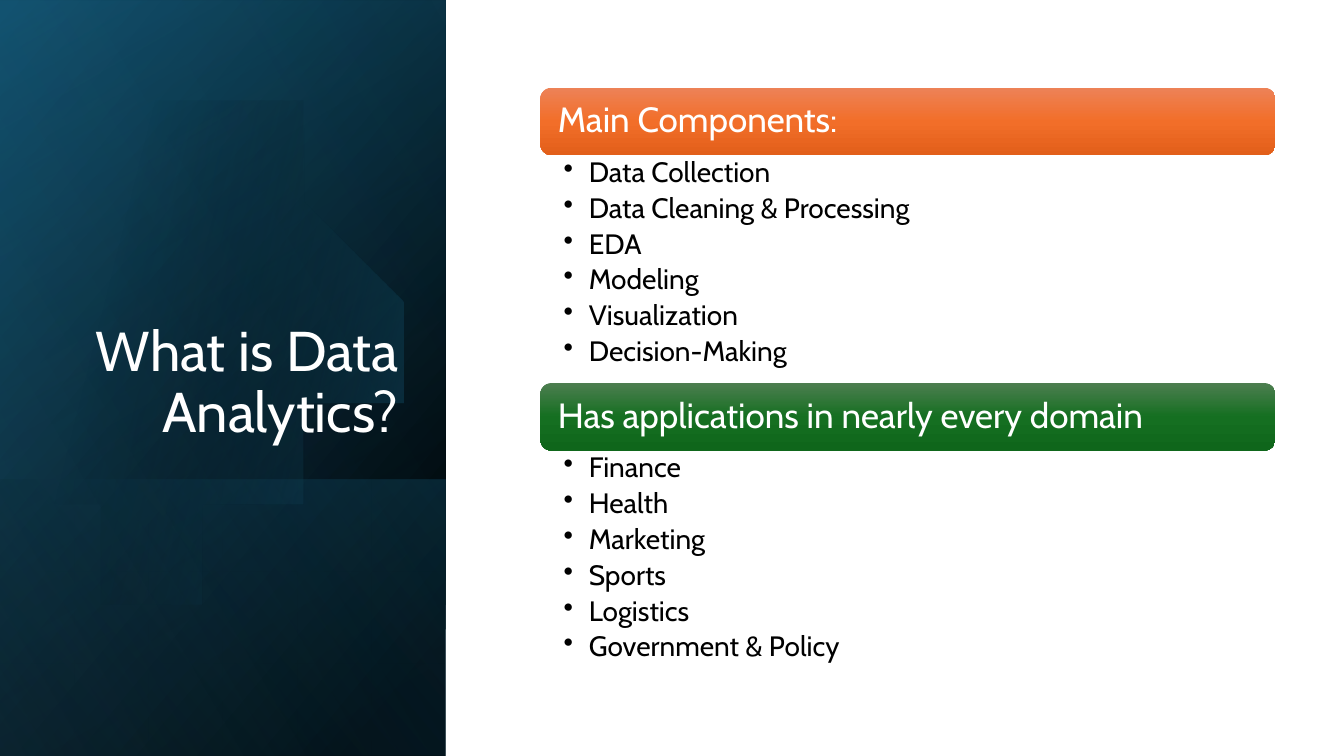
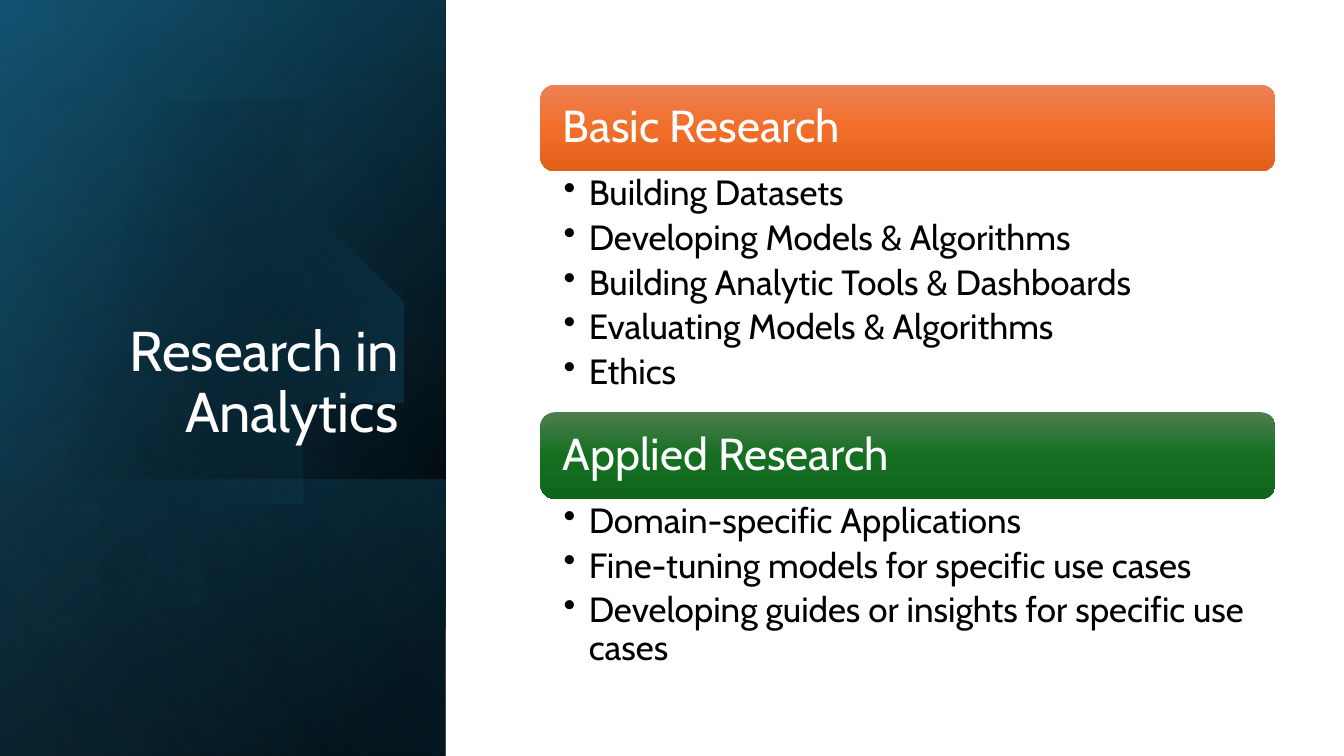
from lxml.etree import SubElement
from pptx import Presentation
from pptx.dml.color import RGBColor
from pptx.enum.shapes import MSO_SHAPE as Preset
from pptx.enum.text import MSO_ANCHOR as Anchor, MSO_AUTO_SIZE as AutoSize, PP_ALIGN as Align
from pptx.oxml.ns import qn
from pptx.util import Inches, Pt

FONT = "Cabin"
BLACK = RGBColor(0x00, 0x00, 0x00)
WHITE = RGBColor(0xFF, 0xFF, 0xFF)
NAVY = RGBColor(0x10, 0x48, 0x62)
TEAL = RGBColor(0x15, 0x60, 0x82)
SKY = RGBColor(0x46, 0xB1, 0xE1)
ORANGES = RGBColor(0xED, 0x82, 0x57), RGBColor(0xF2, 0x6E, 0x29), RGBColor(0xE2, 0x5F, 0x1A)
GREENS = RGBColor(0x4D, 0x7E, 0x50), RGBColor(0x15, 0x6F, 0x21), RGBColor(0x0F, 0x66, 0x1B)

# Panel layers: left, top, width, height, gradient angle, stops (position, colour, opacity)
BASE_LAYERS = [
    (-1.54, 1.54, 7.5, 4.42, 50, [(8, BLACK, 100), (100, NAVY, 100)]),
    (-1.54, 1.55, 7.5, 4.42, 30, [(0, BLACK, 0), (99, TEAL, 46)]),
    (0.84, 3.92, 2.74, 4.42, 130, [(2, TEAL, 29), (100, BLACK, 30)]),
]
TOP_LAYERS = [(-1.54, 1.54, 7.5, 4.42, 120, [(0, BLACK, 0), (99, SKY, 11)])]

# Outline of the disc: one point is a straight line, three points are a Bezier curve
DISC_START = (1.49, 1.1)
DISC_SEGMENTS = [
    [(2.46, 1.12), (3.35, 1.77), (3.63, 2.75)],
    [(3.98, 3.97), (3.28, 5.23), (2.07, 5.58)],
    [(1.31, 5.8), (0.53, 5.61), (-0.03, 5.14)],
    [(-0.15, 5.03)],
    [(-0.15, 1.75)],
    [(0, 1.61)],
    [(0.23, 1.42), (0.5, 1.28), (0.8, 1.19)],
    [(1.03, 1.13), (1.26, 1.1), (1.49, 1.1)],
]
CURVE_STEPS = 16

LIST_LEFT, LIST_WIDTH = 5.36, 7.29

SLIDES = [
    {
        "title": "What is Data Analytics?",
        "top": 0.87, "header_height": 0.67, "header_size": 25, "header_inset": 0.14,
        "item_size": 20, "item_inset": 0.03, "right_inset": 0.19,
        "sections": [
            ("Main Components:", ORANGES, 2.26,
             ["Data Collection", "Data Cleaning & Processing", "EDA", "Modeling",
              "Visualization", "Decision-Making"]),
            ("Has applications in nearly every domain", GREENS, 2.26,
             ["Finance", "Health", "Marketing", "Sports", "Logistics", "Government & Policy"]),
        ],
    },
    {
        "title": "Research in Analytics",
        "top": 0.84, "header_height": 0.86, "header_size": 32, "header_inset": 0.18,
        "item_size": 25, "item_inset": 0.04, "right_inset": 0.25,
        "sections": [
            ("Basic Research", ORANGES, 2.39,
             ["Building Datasets", "Developing Models & Algorithms",
              "Building Analytic Tools & Dashboards", "Evaluating Models & Algorithms",
              "Ethics"]),
            ("Applied Research", GREENS, 1.81,
             ["Domain-specific Applications", "Fine-tuning models for specific use cases",
              "Developing guides or insights for specific use cases"]),
        ],
    },
]


def paint_gradient(shape, angle, stops):
    """Give a shape a linear gradient with opacities, and no line or shadow."""
    shape.shadow.inherit = False
    shape.line.fill.background()
    shape.fill.background()
    properties = shape._element.spPr
    gradient = properties.makeelement(qn("a:gradFill"), {"rotWithShape": "1"})
    properties.replace(properties.find(qn("a:noFill")), gradient)
    stop_list = SubElement(gradient, qn("a:gsLst"))
    for position, color, opacity in stops:
        stop = SubElement(stop_list, qn("a:gs"), pos=str(position * 1000))
        tint = SubElement(stop, qn("a:srgbClr"), val=str(color))
        if opacity < 100:
            SubElement(tint, qn("a:alpha"), val=str(opacity * 1000))
    SubElement(gradient, qn("a:lin"), ang=str(angle * 60000), scaled="0")


def add_layers(page, layers):
    """Stack mirrored rectangles, turned upright, on the left panel."""
    for left, top, width, height, angle, stops in layers:
        layer = page.shapes.add_shape(
            Preset.RECTANGLE, Inches(left), Inches(top), Inches(width), Inches(height))
        layer.rotation = 90
        layer._element.spPr.find(qn("a:xfrm")).set("flipH", "1")
        paint_gradient(layer, angle, stops)


disc_points = [DISC_START]
for segment in DISC_SEGMENTS:
    if len(segment) == 1:
        disc_points += segment
        continue
    controls = [disc_points[-1], *segment]
    for step in range(1, CURVE_STEPS + 1):
        t = step / CURVE_STEPS
        weights = ((1 - t) ** 3, 3 * t * (1 - t) ** 2, 3 * t ** 2 * (1 - t), t ** 3)
        disc_points.append(tuple(
            sum(weight * point[axis] for weight, point in zip(weights, controls))
            for axis in (0, 1)))

deck = Presentation()
deck.slide_width, deck.slide_height = Inches(13.33), Inches(7.5)

for content in SLIDES:
    page = deck.slides.add_slide(deck.slide_layouts[5])

    add_layers(page, BASE_LAYERS)
    outline = page.shapes.build_freeform(*DISC_START, scale=Inches(1))
    outline.add_line_segments(disc_points[1:], close=True)
    paint_gradient(outline.convert_to_shape(), 14, [(29, BLACK, 0), (100, TEAL, 43)])
    add_layers(page, TOP_LAYERS)

    title = page.shapes.title
    page.shapes._spTree.append(title._element)  # bring in front of the panel
    title.left, title.top = Inches(0.64), Inches(1.84)
    title.width, title.height = Inches(3.41), Inches(2.62)
    frame = title.text_frame
    frame.text = content["title"]
    frame.word_wrap = True
    frame.auto_size = AutoSize.NONE
    frame.vertical_anchor = Anchor.BOTTOM
    para = frame.paragraphs[0]
    para.alignment = Align.RIGHT
    para.line_spacing = 0.9
    para.font.name, para.font.size = FONT, Pt(40)
    para.font.color.rgb = WHITE

    top = content["top"]
    for heading, colors, list_height, items in content["sections"]:
        header = page.shapes.add_shape(
            Preset.ROUNDED_RECTANGLE, Inches(LIST_LEFT), Inches(top),
            Inches(LIST_WIDTH), Inches(content["header_height"]))
        paint_gradient(header, 90, [(pos, color, 100) for pos, color in zip((0, 50, 100), colors)])
        frame = header.text_frame
        frame.text = heading
        frame.word_wrap = True
        frame.vertical_anchor = Anchor.MIDDLE
        frame.margin_left = frame.margin_right = Inches(content["header_inset"])
        para = frame.paragraphs[0]
        para.alignment = Align.LEFT
        para.line_spacing = 0.9
        para.font.name, para.font.size = FONT, Pt(content["header_size"])
        para.font.color.rgb = WHITE
        top += content["header_height"]

        box = page.shapes.add_textbox(
            Inches(LIST_LEFT), Inches(top), Inches(LIST_WIDTH), Inches(list_height))
        frame = box.text_frame
        frame.word_wrap = True
        frame.margin_left, frame.margin_right = Inches(0.23), Inches(content["right_inset"])
        frame.margin_top = frame.margin_bottom = Inches(content["item_inset"])
        frame.text = "\n".join(items)
        for para in frame.paragraphs:
            settings = para._p.get_or_add_pPr()
            settings.set("marL", str(Inches(0.25)))
            settings.set("indent", str(-Inches(0.25)))
            spacing = SubElement(settings, qn("a:spcAft"))
            SubElement(spacing, qn("a:spcPct"), val="20000")
            SubElement(settings, qn("a:buChar"), char="•")
            para.line_spacing = 0.9
            para.font.name, para.font.size = FONT, Pt(content["item_size"])
            para.font.color.rgb = BLACK
        top += list_height

deck.save("out.pptx")
